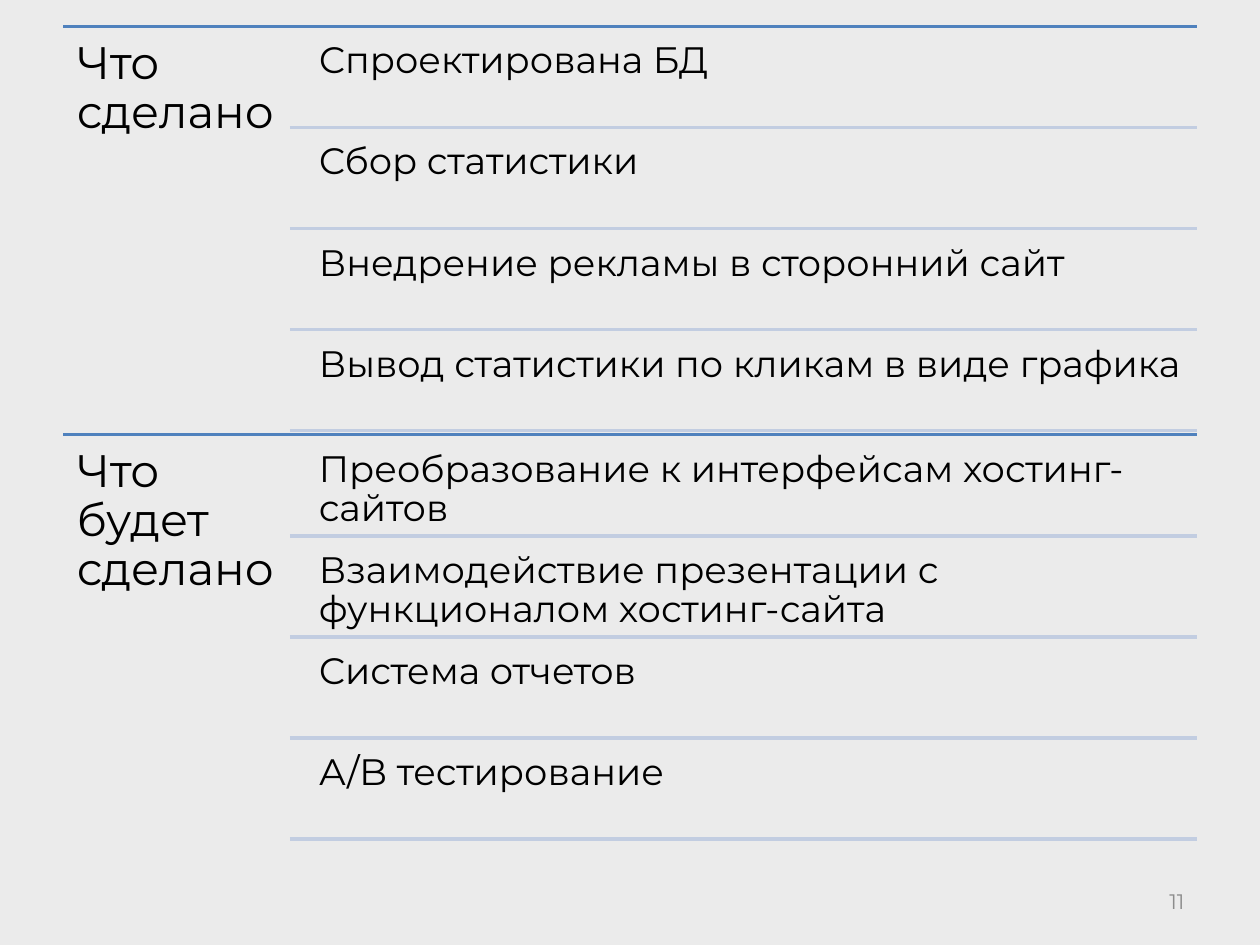
from dataclasses import dataclass

from lxml import etree
from pptx import Presentation
from pptx import util as u
from pptx.dml.color import RGBColor
from pptx.enum import shapes, text
from pptx.oxml.ns import qn

WIDE, HIGH = 10, 7.5
LEFT, SPLIT, RIGHT = 0.05, 0.23, 0.95
INDENT = 0.014
TOP, BAND = 0.21 / HIGH, 3.24 / HIGH
ROW, GAP, BOX = 0.802 / HIGH, 0.035 / HIGH, 0.76 / HIGH
FONT = "Montserrat"
COLORS = {"back": "EBEBEB", "main": "4F81BD", "rule": "C2CDE1",
          "ink": "000000", "page": "8C8C8C"}


@dataclass
class Group:
    title: str
    items: tuple[str, ...]


@dataclass
class Style:
    size: int
    color: str
    pad: float
    frame: dict
    para: dict


TOPLEFT = {"vertical_anchor": text.MSO_ANCHOR.TOP}
TIGHT = {"line_spacing": 0.9, "alignment": text.PP_ALIGN.LEFT}
HEAD = Style(26, "ink", 0.11, TOPLEFT, TIGHT)
ITEM = Style(21, "ink", 0.09, TOPLEFT, TIGHT)
PAGE = Style(12, "page", 0.1, {"vertical_anchor": text.MSO_ANCHOR.MIDDLE},
             {"alignment": text.PP_ALIGN.RIGHT})

GROUPS = (
    Group("Что сделано", (
        "Спроектирована БД",
        "Сбор статистики",
        "Внедрение рекламы в сторонний сайт",
        "Вывод статистики по кликам в виде графика",
    )),
    Group("Что будет сделано", (
        "Преобразование к интерфейсам хостинг-сайтов",
        "Взаимодействие презентации с функционалом хостинг-сайта",
        "Система отчетов",
        "А/B тестирование",
    )),
)


def hue(name: str) -> RGBColor:
    return RGBColor.from_string(COLORS[name])


def across(share: float) -> int:
    return u.Inches(share * WIDE)


def down(share: float) -> int:
    return u.Inches(share * HIGH)


def assign(target, values: dict) -> None:
    for name, value in values.items():
        setattr(target, name, value)


def rule(slide, left: float, top: float, color: str) -> None:
    line = slide.shapes.add_connector(
        shapes.MSO_CONNECTOR.STRAIGHT,
        across(left), down(top), across(RIGHT), down(top))
    line.line.color.rgb = hue(color)
    line.line.width = u.Pt(2)
    etree.SubElement(line._element.spPr, qn("a:effectLst"))


def label(slide, words: str, left: float, top: float,
          right: float, high: float, style: Style) -> None:
    box = slide.shapes.add_textbox(
        across(left), down(top), across(right - left), down(high))
    frame = box.text_frame
    sides = ("left", "top", "right", "bottom")
    assign(frame, {f"margin_{side}": u.Inches(style.pad) for side in sides})
    assign(frame, {"word_wrap": True, **style.frame})
    para = frame.paragraphs[0]
    assign(para, style.para)
    run = para.add_run()
    run.text = words
    assign(run.font, {"name": FONT, "size": u.Pt(style.size)})
    run.font.color.rgb = hue(style.color)


def section(slide, group: Group, top: float) -> None:
    rule(slide, LEFT, top, "main")
    label(slide, group.title, LEFT, top, SPLIT, BAND, HEAD)
    for row, item in enumerate(group.items):
        start = top + row * ROW
        label(slide, item, SPLIT + INDENT, start + GAP, RIGHT, BOX, ITEM)
        rule(slide, SPLIT, start + ROW, "rule")


def main() -> None:
    deck = Presentation()
    assign(deck, {"slide_width": across(1), "slide_height": down(1)})
    slide = deck.slides.add_slide(deck.slide_layouts[6])
    fill = slide.background.fill
    fill.solid()
    fill.fore_color.rgb = hue("back")
    for order, group in enumerate(GROUPS):
        section(slide, group, TOP + order * BAND)
    label(slide, "11", 0.717, 6.95 / HIGH, RIGHT, 0.4 / HIGH, PAGE)
    deck.save("out.pptx")


if __name__ == "__main__":
    main()
